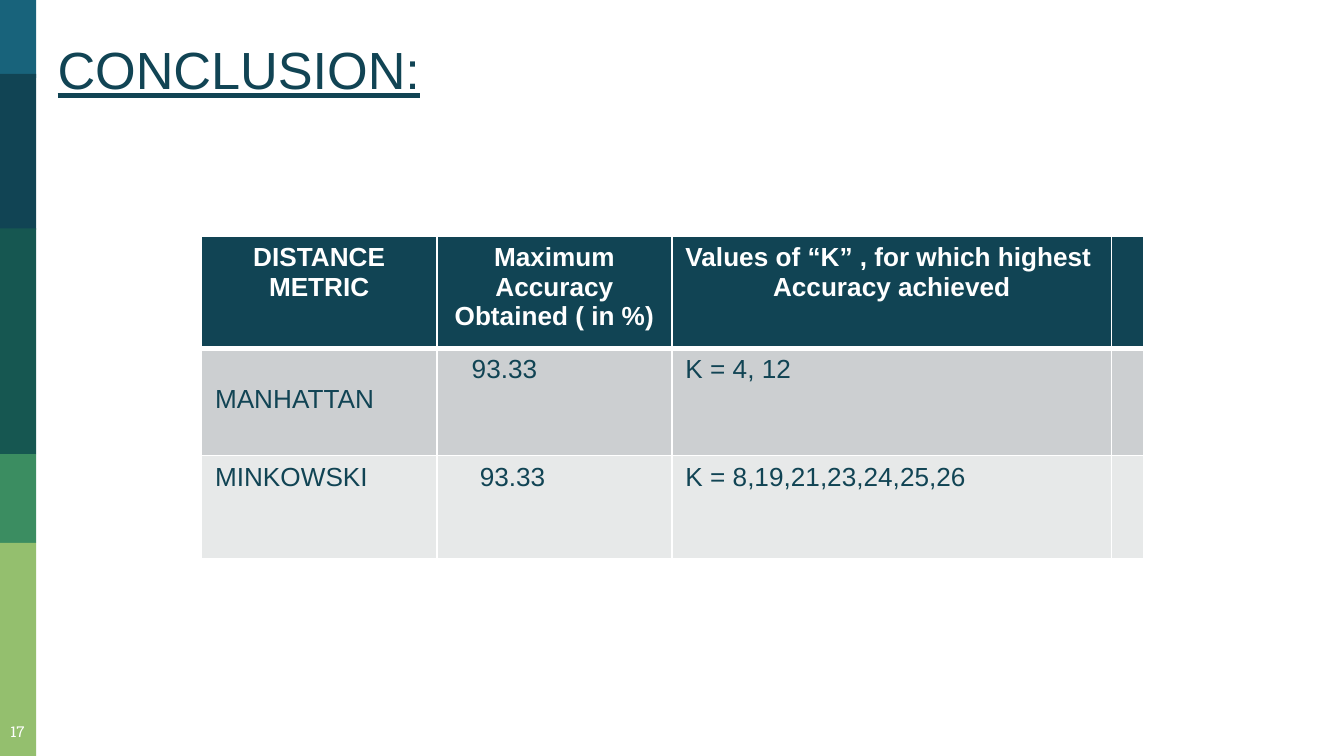
"""Conclusion slide: a table of the best accuracy for each distance metric."""
from lxml.etree import SubElement
from pptx import Presentation
from pptx.dml.color import RGBColor
from pptx.enum.shapes import MSO_SHAPE as SHAPE
from pptx.enum.text import MSO_AUTO_SIZE as AUTO, MSO_UNDERLINE as UNDERLINE, PP_ALIGN as ALIGN
from pptx.oxml.ns import qn
from pptx.util import Inches, Pt

WHITE = RGBColor(0xFF, 0xFF, 0xFF)
NAVY = RGBColor(0x11, 0x44, 0x54)
BLUE = RGBColor(0x18, 0x63, 0x7B)
TEAL = RGBColor(0x16, 0x57, 0x51)
GREEN = RGBColor(0x3B, 0x8D, 0x61)
LIME = RGBColor(0x94, 0xBF, 0x6E)
GREY = RGBColor(0xCC, 0xCF, 0xD1)
PALE = RGBColor(0xE7, 0xE9, 0xE9)

SLIDE_W = Inches(10)
SLIDE_H = SLIDE_W * 9 // 16
BAND_W = 0.27
BANDS = [(0, 0.58, BLUE), (0.55, 1.16, NAVY), (1.7, 1.68, TEAL),
         (3.38, 0.66, GREEN), (4.04, 1.59, LIME)]
TITLE = "CONCLUSION:"
PAGE = "17"

COLS = [1.75, 1.75, 3.27, 0.23]
ROWS = [0.83, 0.8, 0.77]
ROW_FILLS = [NAVY, GREY, PALE]
CELLS = [
    ["DISTANCE METRIC", "Maximum\nAccuracy Obtained ( in %)",
     "Values of “K” , for which highest\nAccuracy achieved", ""],
    ["MANHATTAN", "93.33", "K = 4, 12", ""],
    ["MINKOWSKI", "93.33", "K = 8,19,21,23,24,25,26", ""],
]
LEFT_MARGINS = {(1, 1): 0.26, (2, 1): 0.32}
TOP_MARGINS = {(1, 0): 0.27}


def style(p, size, color, font="Arial", bold=False, underline=False):
    for r in p.runs:
        r.font.size, r.font.name = Pt(size), font
        r.font.bold, r.font.underline = bold, underline
        r.font.color.rgb = color


def add_border(cell, side, width):
    ln = SubElement(cell._tc.get_or_add_tcPr(), qn(f"a:ln{side}"), w=str(Pt(width)))
    SubElement(SubElement(ln, qn("a:solidFill")), qn("a:srgbClr"), val=str(WHITE))


def add_bands(s):
    for top, height, color in BANDS:
        sp = s.shapes.add_shape(SHAPE.RECTANGLE, 0, Inches(top), Inches(BAND_W), Inches(height))
        sp.shadow.inherit = False
        sp.fill.solid()
        sp.fill.fore_color.rgb = color
        sp.line.fill.background()


def add_page_number(s):
    tf = s.shapes.add_textbox(Inches(-0.06), Inches(5.27), Inches(0.38), Inches(0.35)).text_frame
    tf.word_wrap = True
    tf.margin_left = tf.margin_right = Inches(0.1)
    tf.margin_top, tf.margin_bottom = Inches(0.14), Inches(0.06)
    tf.text = PAGE
    tf.paragraphs[0].alignment = ALIGN.CENTER
    style(tf.paragraphs[0], 8, WHITE, "Roboto Slab")


def add_results(s):
    table = s.shapes.add_table(len(ROWS), len(COLS), Inches(1.5), Inches(1.76),
                               Inches(sum(COLS)), Inches(sum(ROWS))).table
    for col, width in zip(table.columns, COLS):
        col.width = Inches(width)
    for row, height in zip(table.rows, ROWS):
        row.height = Inches(height)
    for i, texts in enumerate(CELLS):
        header = i == 0
        for j, text in enumerate(texts):
            cell = table.cell(i, j)
            for side in "LRTB":
                thick = (i, side) in ((0, "B"), (1, "T"))
                add_border(cell, side, 3 if thick else 1)
            cell.fill.solid()
            cell.fill.fore_color.rgb = ROW_FILLS[i]
            cell.margin_left = Inches(LEFT_MARGINS.get((i, j), 0.1))
            cell.margin_top = Inches(TOP_MARGINS.get((i, j), 0.05))
            cell.text_frame.text = text
            for k, p in enumerate(cell.text_frame.paragraphs):
                centred = header and (j, k) != (2, 0)
                p.alignment = ALIGN.CENTER if centred else ALIGN.LEFT
                style(p, 14, WHITE if header else NAVY, bold=header)


def add_title(s):
    tf = s.shapes.add_textbox(Inches(0.33), Inches(0.23), Inches(2.9), Inches(0.57)).text_frame
    tf.word_wrap = False
    tf.auto_size = AUTO.SHAPE_TO_FIT_TEXT
    tf.text = TITLE
    style(tf.paragraphs[0], 28, NAVY, underline=UNDERLINE.HEAVY_LINE)


def main():
    prs = Presentation()
    prs.slide_width, prs.slide_height = SLIDE_W, SLIDE_H
    s = prs.slides.add_slide(prs.slide_layouts[6])
    add_bands(s)
    add_page_number(s)
    add_results(s)
    add_title(s)
    prs.save("out.pptx")


if __name__ == "__main__":
    main()
